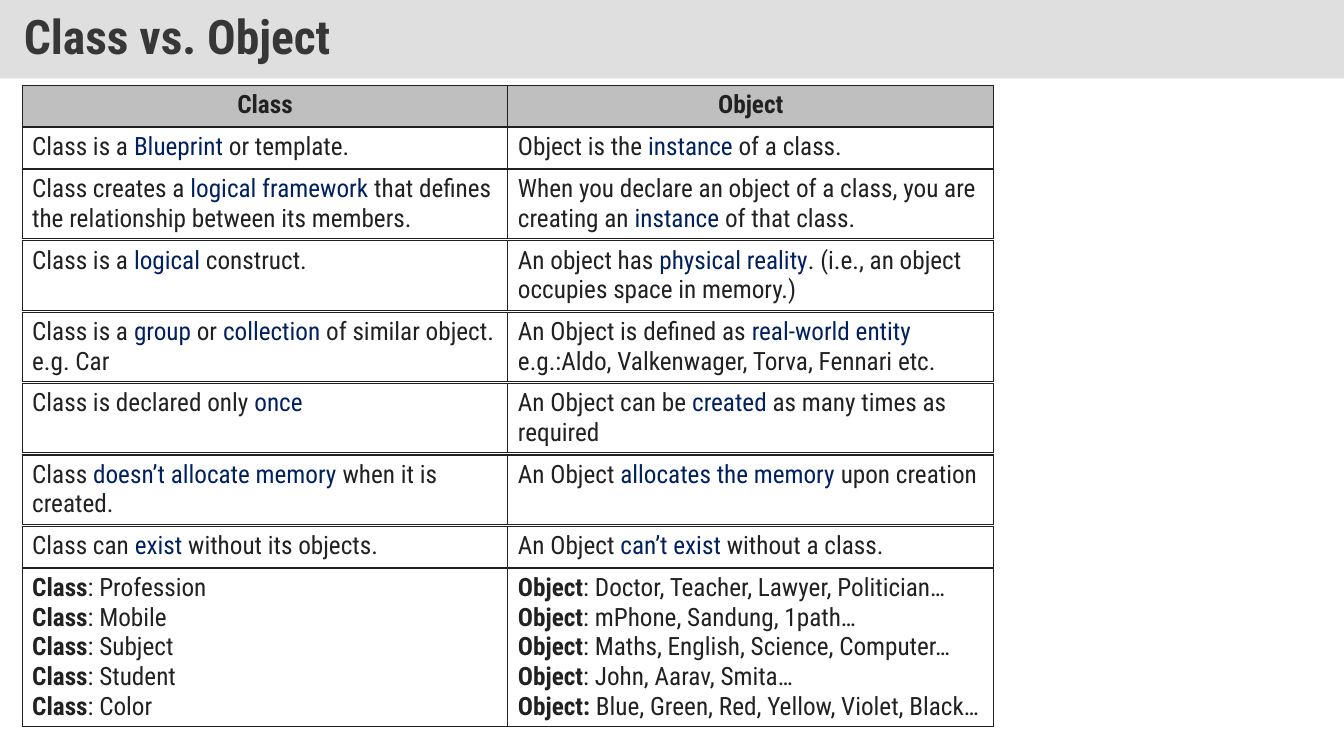
"""Builds the "Class vs. Object" comparison slide."""
import pptx
import pptx.dml.color
import pptx.enum.shapes
import pptx.enum.text
import pptx.oxml
import pptx.oxml.ns
import pptx.util

Pt = pptx.util.Pt
RGB = pptx.dml.color.RGBColor.from_string
PP_ALIGN = pptx.enum.text.PP_ALIGN
FONT = "Roboto Condensed"
COLORS = {"title": "373737", "bar": "C0C0C0", "text": "212121", "key": "002060",
          "header": "BFBFBF", "body": "FFFFFF", "border": "212121"}

ROWS = [
    ("header", 1, "*Class*", "*Object*"),
    ("key", 1, "Class is a *Blueprint *or template.",
     "Object is the *instance* of a class."),
    ("key", 2, "Class creates a *logical framework *that defines the relationship between its members.",
     "When you declare an object of a class, you are creating an *instance* of that class."),
    ("key", 2, "Class is a *logical* construct.",
     "An object has *physical reality*. (i.e., an object occupies space in memory.)"),
    ("key", 2, "Class is a *group* or *collection* of similar object.\ne.g. Car",
     "An Object is defined as *real-world entity*\ne.g.:Aldo, Valkenwager, Torva, Fennari etc."),
    ("key", 2, "Class is declared only *once*",
     "An Object can be *created* as many times as required"),
    ("key", 2, "Class *doesn’t allocate memory *when it is created.",
     "An Object *allocates the memory *upon creation"),
    ("key", 1, "Class can *exist* without its objects.",
     "An Object *can’t exist *without a class."),
    ("bold", 5, "*Class*: Profession\n*Class*: Mobile\n*Class*: Subject\n*Class*: Student\n*Class*: Color",
     "*Object*: Doctor, Teacher, Lawyer, Politician…\n*Object*: mPhone, Sandung, 1path…\n"
     "*Object*: Maths, English, Science, Computer…\n*Object*: John, Aarav, Smita…\n"
     "*Object: *Blue, Green, Red, Yellow, Violet, Black…"),
]


def add_run(p, text, size, color, bold):
    r = p.add_run()
    r.text = text
    r.font.name = FONT
    r.font.size = Pt(size)
    r.font.bold = bold
    r.font.color.rgb = RGB(COLORS[color])


def fill_cell(cell, style, text):
    cell.fill.solid()
    cell.fill.fore_color.rgb = RGB(COLORS["header" if style == "header" else "body"])
    tf = cell.text_frame
    for i, line in enumerate(text.split("\n")):
        p = tf.add_paragraph() if i else tf.paragraphs[0]
        p.alignment = PP_ALIGN.CENTER if style == "header" else PP_ALIGN.LEFT
        for j, part in enumerate(line.split("*")):
            marked = j % 2 == 1
            if part:
                add_run(p, part, 18, "key" if marked and style == "key" else "text",
                        marked and style != "key")
    tc_pr = cell._tc.get_or_add_tcPr()
    for i, side in enumerate(("lnL", "lnR", "lnT", "lnB")):
        tc_pr.insert(i, pptx.oxml.parse_xml(
            f'<a:{side} {pptx.oxml.ns.nsdecls("a")} w="12700"><a:solidFill>'
            f'<a:srgbClr val="{COLORS["border"]}"/></a:solidFill></a:{side}>'))


prs = pptx.Presentation()
prs.slide_width, prs.slide_height = Pt(960), Pt(540)
s = prs.slides.add_slide(prs.slide_layouts[6])

sp = s.shapes.add_shape(pptx.enum.shapes.MSO_SHAPE.RECTANGLE, 0, 0, Pt(960), Pt(56))
sp.shadow.inherit = False
sp.line.fill.background()
sp.fill.solid()
sp.fill.fore_color.rgb = RGB(COLORS["bar"])
bar_color = sp._element.spPr.find(".//" + pptx.oxml.ns.qn("a:srgbClr"))
bar_color.append(pptx.oxml.parse_xml(f'<a:alpha {pptx.oxml.ns.nsdecls("a")} val="50000"/>'))
tf = sp.text_frame
tf.word_wrap = True
tf.vertical_anchor = pptx.enum.text.MSO_ANCHOR.MIDDLE
tf.margin_left = tf.margin_right = Pt(17)
tf.margin_top = tf.margin_bottom = Pt(8.6)
p = tf.paragraphs[0]
p.alignment = PP_ALIGN.LEFT
p.line_spacing = 0.9
add_run(p, "Class vs. Object", 34, "title", True)

top = 61
for style, lines, *texts in ROWS:
    height = max(29.5, 21 * lines + 7.5)
    frame = s.shapes.add_table(1, 2, Pt(15.8), Pt(top), Pt(694), Pt(height))
    table = frame.table
    table.first_row = table.horz_banding = False
    for cell, text in zip(table.rows[0].cells, texts):
        fill_cell(cell, style, text)
    top += 21 * lines + 9

prs.save("out.pptx")
